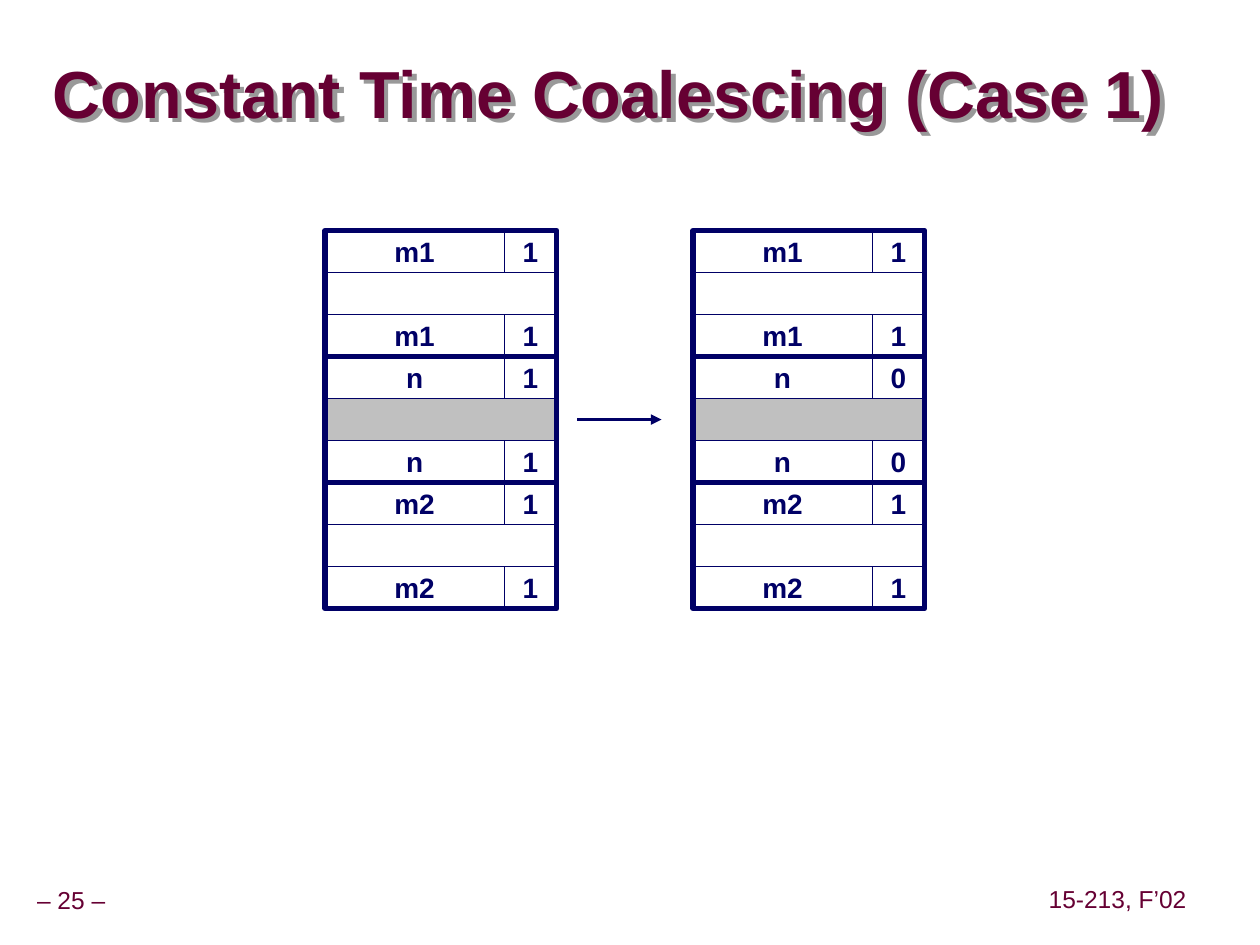
from lxml import etree
from pptx import Presentation
from pptx.dml.color import RGBColor
from pptx.enum.shapes import MSO_CONNECTOR, MSO_SHAPE
from pptx.enum.text import MSO_ANCHOR, PP_ALIGN
from pptx.oxml import parse_xml
from pptx.oxml.ns import nsdecls, qn
from pptx.util import Inches, Pt

NAVY = RGBColor(0x00, 0x00, 0x66)
MAROON = RGBColor(0x66, 0x00, 0x33)
WHITE = RGBColor(0xFF, 0xFF, 0xFF)
GRAY = RGBColor(0xC0, 0xC0, 0xC0)

BLOCK_HEIGHT = Inches(1)
ROW_HEIGHT = BLOCK_HEIGHT // 3
SIZE_WIDTH, FLAG_WIDTH = Inches(1.42), Inches(0.42)
MEMORY_WIDTH = SIZE_WIDTH + FLAG_WIDTH

TITLE_SHADOW = (
    f'<a:effectLst {nsdecls("a")}><a:outerShdw dist="45720" dir="2700000" algn="ctr">'
    '<a:srgbClr val="999999"/></a:outerShdw></a:effectLst>'
)


def write(frame, text, size, color, bold=False, align=PP_ALIGN.CENTER,
          spacing=None, wrap=False, margins=(0.1, 0.05)):
    side, edge = (Inches(margin) for margin in margins)
    frame_format = {
        "word_wrap": wrap, "vertical_anchor": MSO_ANCHOR.MIDDLE,
        "margin_left": side, "margin_right": side,
        "margin_top": edge, "margin_bottom": edge,
    }
    for name, value in frame_format.items():
        setattr(frame, name, value)
    frame.text = text
    paragraph = frame.paragraphs[0]
    paragraph.alignment = align
    paragraph.line_spacing = spacing
    for name, value in {"name": "Arial", "size": Pt(size), "bold": bold}.items():
        setattr(paragraph.font, name, value)
    paragraph.font.color.rgb = color


def add_title(slide, text, left, top, width, height):
    title = slide.shapes.title
    box = {"left": left, "top": top, "width": width, "height": height}
    for name, value in box.items():
        setattr(title, name, value)
    write(title.text_frame, text, 38, MAROON, bold=True, align=PP_ALIGN.LEFT,
          spacing=0.87, wrap=True, margins=(0, 0))
    title._element.spPr.append(parse_xml(TITLE_SHADOW))


def add_footer(slide, text, left, top, width, height):
    footer = slide.shapes.add_textbox(left, top, width, height)
    write(footer.text_frame, text, 14, MAROON, spacing=0.9, margins=(0.05, 0.05))


def add_cell(slide, left, top, width, height, fill=None, text="", line=0.25):
    cell = slide.shapes.add_shape(MSO_SHAPE.RECTANGLE, left, top, width, height)
    cell.shadow.inherit = False
    cell.line.color.rgb = NAVY
    cell.line.width = Pt(line)
    if fill is None:
        cell.fill.background()
    else:
        cell.fill.solid()
        cell.fill.fore_color.rgb = fill
    if text:
        write(cell.text_frame, text, 16, NAVY, bold=True)


def add_block(slide, left, top, size, flag, payload_fill):
    # Header and footer carry the same size and allocation flag
    for row in (0, 2):
        row_top = top + row * ROW_HEIGHT
        add_cell(slide, left, row_top, SIZE_WIDTH, ROW_HEIGHT, WHITE, size)
        add_cell(slide, left + SIZE_WIDTH, row_top, FLAG_WIDTH, ROW_HEIGHT, WHITE, flag)
    # Payload, then the heavy outline
    add_cell(slide, left, top + ROW_HEIGHT, MEMORY_WIDTH, ROW_HEIGHT, payload_fill)
    add_cell(slide, left, top, MEMORY_WIDTH, BLOCK_HEIGHT, line=3)


def add_memory(slide, left, top, middle_flag):
    blocks = [("m1", "1", WHITE), ("n", middle_flag, GRAY), ("m2", "1", WHITE)]
    for index, block in enumerate(blocks):
        add_block(slide, left, top + index * BLOCK_HEIGHT, *block)


def add_arrow(slide, start, end, y):
    arrow = slide.shapes.add_connector(MSO_CONNECTOR.STRAIGHT, start, y, end, y)
    arrow.line.color.rgb = NAVY
    arrow.line.width = Pt(2)
    etree.SubElement(arrow.line._get_or_add_ln(), qn("a:tailEnd"), type="triangle")
    etree.SubElement(arrow._element.spPr, qn("a:effectLst"))


def main():
    deck = Presentation()
    deck.slide_width, deck.slide_height = Inches(10), Inches(7.5)
    slide = deck.slides.add_slide(deck.slide_layouts[5])

    add_title(slide, "Constant Time Coalescing (Case 1)",
              Inches(0.42), Inches(0.46), Inches(9.08), Inches(0.63))

    # Memory before and after freeing the middle block
    memory_top = Inches(1.83)
    add_memory(slide, Inches(2.58), memory_top, "1")
    add_memory(slide, Inches(5.5), memory_top, "0")
    add_arrow(slide, Inches(4.58), Inches(5.25), memory_top + BLOCK_HEIGHT * 3 // 2)

    # Page number and course
    add_footer(slide, "– 25 –", Inches(-0.09), Inches(7), Inches(1.31), Inches(0.31))
    add_footer(slide, "15-213, F’02", Inches(8.27), Inches(6.99), Inches(1.2), Inches(0.31))

    deck.save("out.pptx")


if __name__ == "__main__":
    main()
